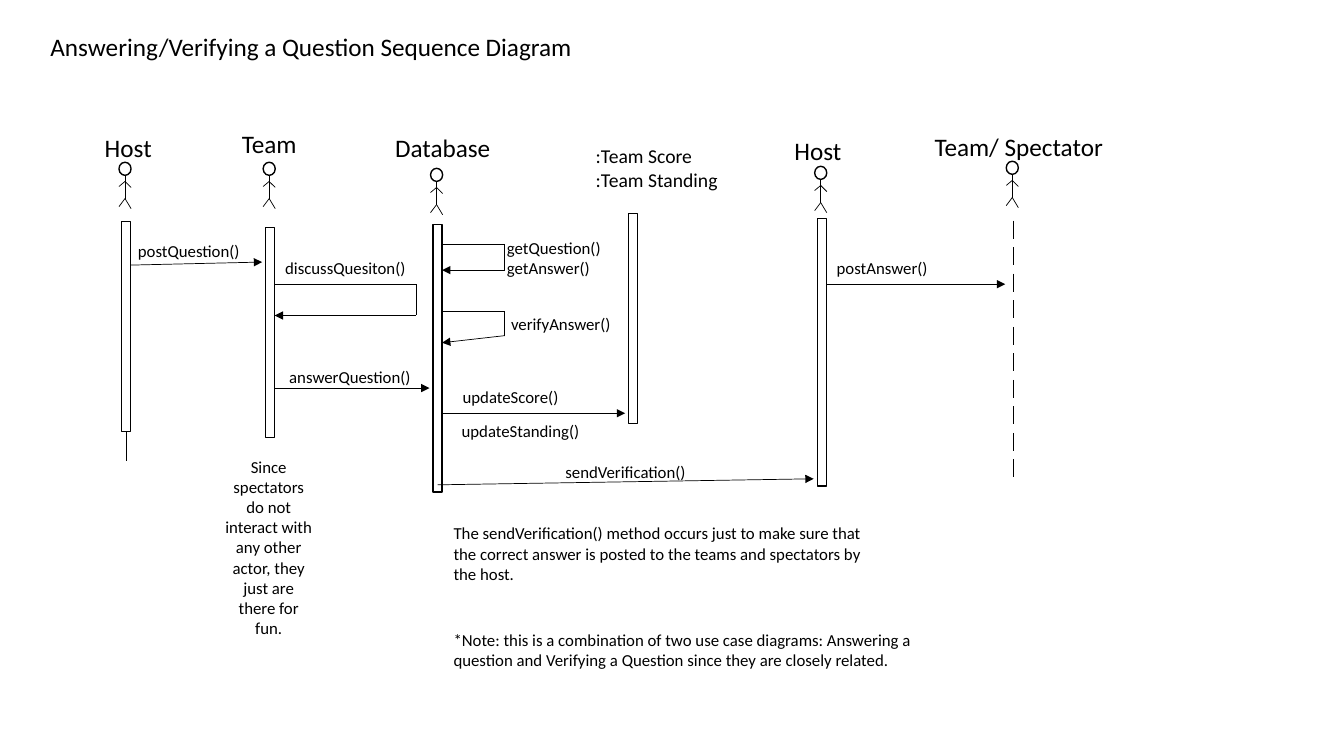
from pptx import Presentation
from pptx import util as u
from pptx.dml.color import RGBColor
from pptx.enum import shapes, text
from pptx.oxml.ns import qn
from lxml import etree

THEME = {
    "font": "Calibri",
    "ink": RGBColor(0, 0, 0),
    "paper": RGBColor(255, 255, 255),
    "heading": 18, "object": 14, "label": 12,
    "outline": 1, "thin": 0.5,
}
WIDTH, HEIGHT = 13.33, 7.5
BAR_WIDTH = 0.09
EDGE = BAR_WIDTH / 2
ARROW_GAP = 0.08

# All lengths are inches.
TITLE = ("Answering/Verifying a Question Sequence Diagram", (0.4, 0.26, 5.45, 0.4))

# Lifeline: centre x
LIFELINES = {"host": 1.25, "team": 2.68, "database": 4.34,
             "score": 6.28, "poster": 8.15, "spectator": 10.05}

# Activation bar: lifeline, top, height
BARS = [("host", 2.2, 2.08), ("team", 2.26, 2.08), ("database", 2.23, 2.65),
        ("score", 2.12, 2.08), ("poster", 2.17, 2.65)]

# Actor: lifeline, name, top of head, box of the name
ACTORS = [
    ("host", "Host", 1.61, (0.94, 1.26, 1.18, 0.4)),
    ("team", "Team", 1.61, (2.3, 1.22, 1.18, 0.4)),
    ("database", "Database", 1.67, (3.82, 1.26, 1.18, 0.4)),
    ("poster", "Host", 1.65, (7.78, 1.29, 1.18, 0.4)),
    ("spectator", "Team/ Spectator", 1.6, (9.17, 1.25, 2.09, 0.4)),
]
HEAD = (0.12, 0.13)
# Limbs from the centre of the head's top: x1, y1, x2, y2
LIMBS = [(0, 0.13, 0, 0.36), (0, 0.19, -0.06, 0.24), (0, 0.19, 0.06, 0.25),
         (0, 0.36, -0.06, 0.44), (0, 0.36, 0.06, 0.46)]

# Message: sender, receiver, start offset from sender's centre, start y, end y
MESSAGES = [
    ("host", "team", EDGE, 2.63, 2.6),
    ("team", "database", EDGE, 3.85, 3.85),
    ("database", "score", EDGE, 4.1, 4.1),
    ("database", "poster", 0, 4.81, 4.75),
    ("poster", "spectator", EDGE, 2.82, 2.82),
]
# Self call: lifeline, reach, leaving y, turning y, returning y
SELF_CALLS = [("team", 1.4, 2.82, 3.13, 3.13),
              ("database", 0.62, 2.42, 2.68, 2.68),
              ("database", 0.62, 3.09, 3.33, 3.4)]

HOST_TAIL = (4.28, 4.57)
DASHES = {"count": 10, "top": 2.19, "length": 0.18, "pitch": 0.263}

# Text: paragraphs, box, size, centred
TEXTS = [
    ([":Team Score", ":Team Standing"], (5.81, 1.38, 1.49, 0.57), "object", False),
    (["postQuestion()"], (1.27, 2.34, 1.24, 0.3), "label", False),
    (["discussQuesiton()"], (2.73, 2.51, 1.67, 0.3), "label", False),
    (["answerQuestion()"], (2.77, 3.59, 1.42, 0.3), "label", False),
    (["getQuestion()", "getAnswer()"], (4.93, 2.31, 1.14, 0.5), "label", False),
    (["verifyAnswer()"], (4.97, 3.06, 1.31, 0.3), "label", False),
    (["updateScore()"], (4.49, 3.79, 1.37, 0.3), "label", False),
    (["updateStanding()"], (4.48, 4.12, 1.43, 0.3), "label", False),
    (["sendVerification()"], (5.51, 4.53, 1.84, 0.3), "label", False),
    (["postAnswer()"], (8.2, 2.51, 1.79, 0.3), "label", False),
    (["Since spectators do not interact with any other actor, they just are "
      "there for fun."], (2.12, 4.48, 1.09, 1.92), "label", True),
    (["The sendVerification() method occurs just to make sure that the correct "
      "answer is posted to the teams and spectators by the host."],
     (4.4, 5.14, 4.48, 0.71), "label", False),
    (["*Note: this is a combination of two use case diagrams: Answering a question "
      "and Verifying a Question since they are closely related."],
     (4.4, 6.2, 5, 0.5), "label", False),
]


def inches(lengths):
    """Convert a sequence of inches to slide units."""
    return [u.Inches(length) for length in lengths]


def write(frame, paragraphs, size, centred=False):
    """Fill a text frame with one run per paragraph."""
    frame.word_wrap = True
    frame.auto_size = text.MSO_AUTO_SIZE.NONE
    frame.vertical_anchor = text.MSO_ANCHOR.TOP
    for index, words in enumerate(paragraphs):
        para = frame.add_paragraph() if index else frame.paragraphs[0]
        para.alignment = text.PP_ALIGN.CENTER if centred else text.PP_ALIGN.LEFT
        span = para.add_run()
        span.text = words
        span.font.name = THEME["font"]
        span.font.size = u.Pt(THEME[size])
        span.font.color.rgb = THEME["ink"]


def add_text(page, paragraphs, place, size, centred=False):
    """Add a text box at a place."""
    box = page.shapes.add_textbox(*inches(place))
    write(box.text_frame, paragraphs, size, centred)


def add_outlined(page, kind, place):
    """Add a white shape with a black outline."""
    shape = page.shapes.add_shape(kind, *inches(place))
    shape.shadow.inherit = False
    shape.fill.solid()
    shape.fill.fore_color.rgb = THEME["paper"]
    shape.line.color.rgb = THEME["ink"]
    shape.line.width = u.Pt(THEME["outline"])


def add_line(page, x1, y1, x2, y2, arrow=False):
    """Add a thin line, with an arrowhead at its end if asked."""
    line = page.shapes.add_connector(shapes.MSO_CONNECTOR.STRAIGHT,
                                     *inches((x1, y1, x2, y2)))
    line.line.color.rgb = THEME["ink"]
    line.line.width = u.Pt(THEME["thin"])
    properties = line._element.spPr
    if arrow:
        etree.SubElement(properties.find(qn("a:ln")), qn("a:tailEnd"), type="triangle")
    etree.SubElement(properties, qn("a:effectLst"))


def add_actor(page, lifeline, name, top, name_place):
    """Draw a stick figure on its lifeline and write its name."""
    x = LIFELINES[lifeline] - 0.01
    add_outlined(page, shapes.MSO_SHAPE.OVAL, (x - HEAD[0] / 2, top, *HEAD))
    for x1, y1, x2, y2 in LIMBS:
        add_line(page, x + x1, top + y1, x + x2, top + y2)
    add_text(page, [name], name_place, "heading")


def add_self_call(page, lifeline, reach, leave, turn, back):
    """Draw a loop that leaves a bar and returns to it."""
    near = LIFELINES[lifeline] + EDGE
    far = near + reach
    add_line(page, near, leave, far, leave)
    add_line(page, far, leave, far, turn)
    add_line(page, far, turn, near, back, arrow=True)


deck = Presentation()
deck.slide_width, deck.slide_height = inches((WIDTH, HEIGHT))
page = deck.slides.add_slide(deck.slide_layouts[5])

title = page.shapes.title
title.left, title.top, title.width, title.height = inches(TITLE[1])
write(title.text_frame, [TITLE[0]], "heading")

for lifeline, top, height in BARS:
    left = LIFELINES[lifeline] - EDGE
    add_outlined(page, shapes.MSO_SHAPE.RECTANGLE, (left, top, BAR_WIDTH, height))
for actor in ACTORS:
    add_actor(page, *actor)

add_line(page, LIFELINES["host"], HOST_TAIL[0], LIFELINES["host"], HOST_TAIL[1])
for index in range(DASHES["count"]):
    top = DASHES["top"] + index * DASHES["pitch"]
    x = LIFELINES["spectator"]
    add_line(page, x, top, x, top + DASHES["length"])

for sender, receiver, offset, start, end in MESSAGES:
    add_line(page, LIFELINES[sender] + offset, start,
             LIFELINES[receiver] - ARROW_GAP, end, arrow=True)
for call in SELF_CALLS:
    add_self_call(page, *call)
for entry in TEXTS:
    add_text(page, *entry)

deck.save("out.pptx")
